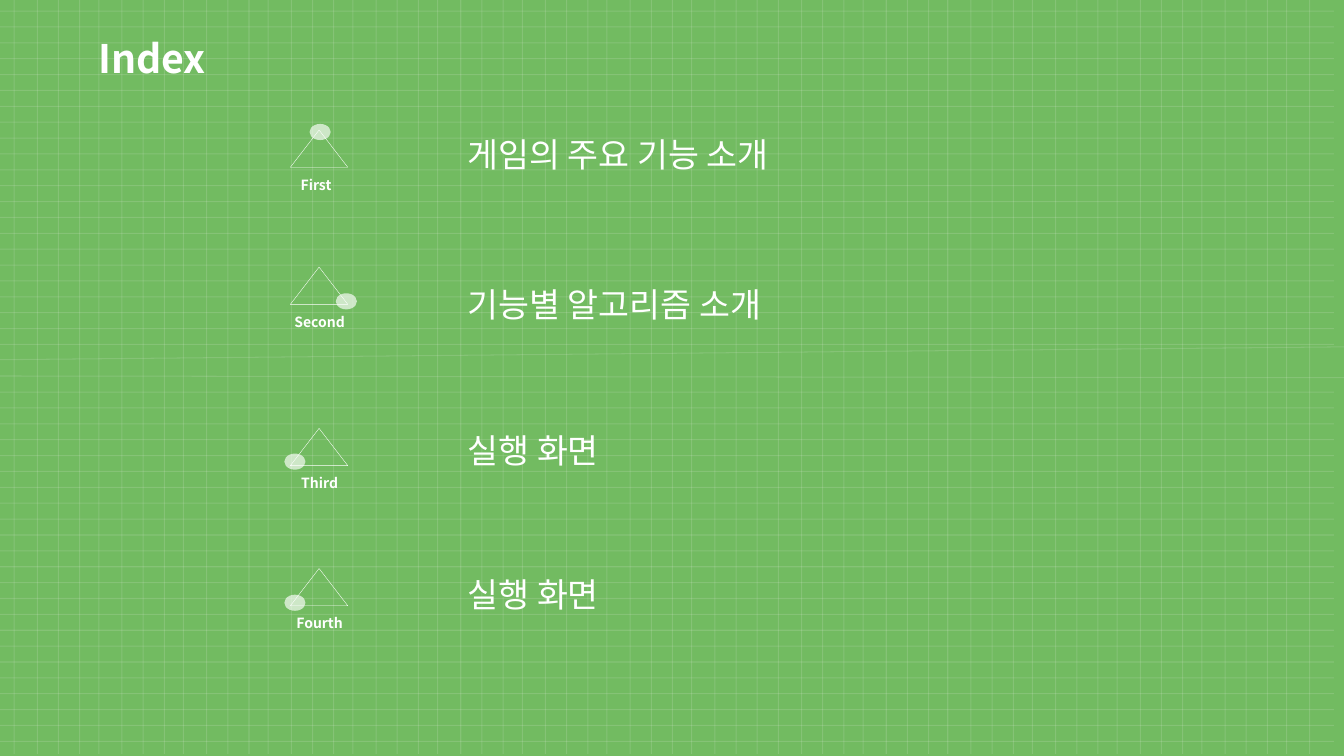
from dataclasses import dataclass

from lxml import etree
from pptx import Presentation
from pptx import util as u
from pptx.dml import color
from pptx.enum import shapes, text
from pptx.oxml import ns


@dataclass(frozen=True)
class Theme:
    green: color.RGBColor = color.RGBColor(0x72, 0xBB, 0x61)
    grid: color.RGBColor = color.RGBColor(0xF2, 0xF2, 0xF2)
    white: color.RGBColor = color.RGBColor(0xFF, 0xFF, 0xFF)
    font: str = "Noto Sans CJK KR"
    title: int = 28
    topic: int = 24
    label: int = 10
    grid_width: float = 0.75
    triangle_width: float = 0.25
    grid_opacity: int = 14
    dot_opacity: int = 65


THEME = Theme()
WIDTH, HEIGHT = 13.33, 7.5
COLUMN_OFFSETS = (0, 0.23, 0.44, 0.65)
COLUMN_BLOCK, COLUMN_COUNT = 0.84, 62
ROW_STEP, ROW_COUNT = 0.1575, 47
SLANTED_ROWS = {22: (-2.22, 3.59, 15.56, 3.42), 23: (-0.1, 3.73, 15.56, 3.75)}
TRIANGLE_LEFT = 2.88
ENTRIES = [
    ("First", 1.29, (0.19, -0.06), (2.6, 1.07), "게임의 주요 기능 소개", 1.28, 5.14),
    ("Second", 2.65, (0.45, 0.26), (2.49, 1.36), "기능별 알고리즘 소개", 2.77, 7.06),
    ("Third", 4.25, (-0.06, 0.25), (2.49, 1.36), "실행 화면", 4.22, 7.06),
    ("Fourth", 5.64, (-0.06, 0.26), (2.49, 1.36), "실행 화면", 5.64, 7.06),
]


def apply_format(target, values):
    for name, value in values.items():
        setattr(target, name, value)


def set_opacity(shape, percent):
    for fill_color in shape._element.xpath("./p:spPr//a:srgbClr"):
        alpha = etree.SubElement(fill_color, ns.qn("a:alpha"))
        alpha.set("val", str(percent * 1000))


def add_grid_line(group, start_x, start_y, end_x, end_y):
    points = [u.Inches(value) for value in (start_x, start_y, end_x, end_y)]
    line = group.shapes.add_connector(shapes.MSO_CONNECTOR.STRAIGHT, *points)
    line.line.width = u.Pt(THEME.grid_width)
    line.line.color.rgb = THEME.grid
    set_opacity(line, THEME.grid_opacity)
    etree.SubElement(line._element.spPr, ns.qn("a:effectLst"))


def add_grid(slide):
    group = slide.shapes.add_group_shape()
    for column in range(COLUMN_COUNT):
        block, position = divmod(column, len(COLUMN_OFFSETS))
        start = 0.14 if block < 9 else 0.16
        x = start + block * COLUMN_BLOCK + COLUMN_OFFSETS[position]
        add_grid_line(group, x, -0.02, x, 7.48)
    for row in range(ROW_COUNT):
        y = 0.11 + row * ROW_STEP
        add_grid_line(group, *SLANTED_ROWS.get(row, (-0.1, y, 13.23, y)))


def add_figure(parent, kind, box, fill=None, line_width=None):
    shape = parent.shapes.add_shape(kind, *[u.Inches(value) for value in box])
    shape.shadow.inherit = False
    if fill is None:
        shape.fill.background()
    else:
        shape.fill.solid()
        shape.fill.fore_color.rgb = fill
    if line_width is None:
        shape.line.fill.background()
    else:
        shape.line.color.rgb = THEME.white
        shape.line.width = u.Pt(line_width)
    return shape


def add_label(parent, wording, box, size, bold=False, align=text.PP_ALIGN.LEFT):
    shape = parent.shapes.add_textbox(*[u.Inches(value) for value in box])
    apply_format(shape.text_frame, {
        "word_wrap": True,
        "auto_size": text.MSO_AUTO_SIZE.SHAPE_TO_FIT_TEXT,
    })
    paragraph = shape.text_frame.paragraphs[0]
    paragraph.alignment = align
    run = paragraph.add_run()
    run.text = wording
    apply_format(run.font, {"name": THEME.font, "size": u.Pt(size), "bold": bold})
    run.font.color.rgb = THEME.white
    east_asian = etree.SubElement(run._r.get_or_add_rPr(), ns.qn("a:ea"))
    east_asian.set("typeface", THEME.font)


def add_marker(slide, label, top, dot_offset, label_span):
    group = slide.shapes.add_group_shape()
    add_figure(group, shapes.MSO_SHAPE.ISOSCELES_TRIANGLE,
               (TRIANGLE_LEFT, top, 0.57, 0.37), line_width=THEME.triangle_width)
    dot_left, dot_top = dot_offset
    dot = add_figure(group, shapes.MSO_SHAPE.OVAL,
                     (TRIANGLE_LEFT + dot_left, top + dot_top, 0.21, 0.16), THEME.white)
    set_opacity(dot, THEME.dot_opacity)
    left, width = label_span
    add_label(group, label, (left, top + 0.41, width, 0.27), THEME.label,
              bold=True, align=text.PP_ALIGN.CENTER)


def main():
    presentation = Presentation()
    apply_format(presentation, {
        "slide_width": u.Inches(WIDTH),
        "slide_height": u.Inches(HEIGHT),
    })
    slide = presentation.slides.add_slide(presentation.slide_layouts[6])
    add_figure(slide, shapes.MSO_SHAPE.RECTANGLE, (0, 0, WIDTH, HEIGHT), THEME.green)
    add_grid(slide)
    add_label(slide, "Index", (0.88, 0.29, 7.87, 0.57), THEME.title, bold=True)
    for label, top, dot_offset, label_span, topic, topic_top, topic_width in ENTRIES:
        add_marker(slide, label, top, dot_offset, label_span)
        add_label(slide, topic, (4.54, topic_top, topic_width, 0.5), THEME.topic)
    presentation.save("out.pptx")


if __name__ == "__main__":
    main()
